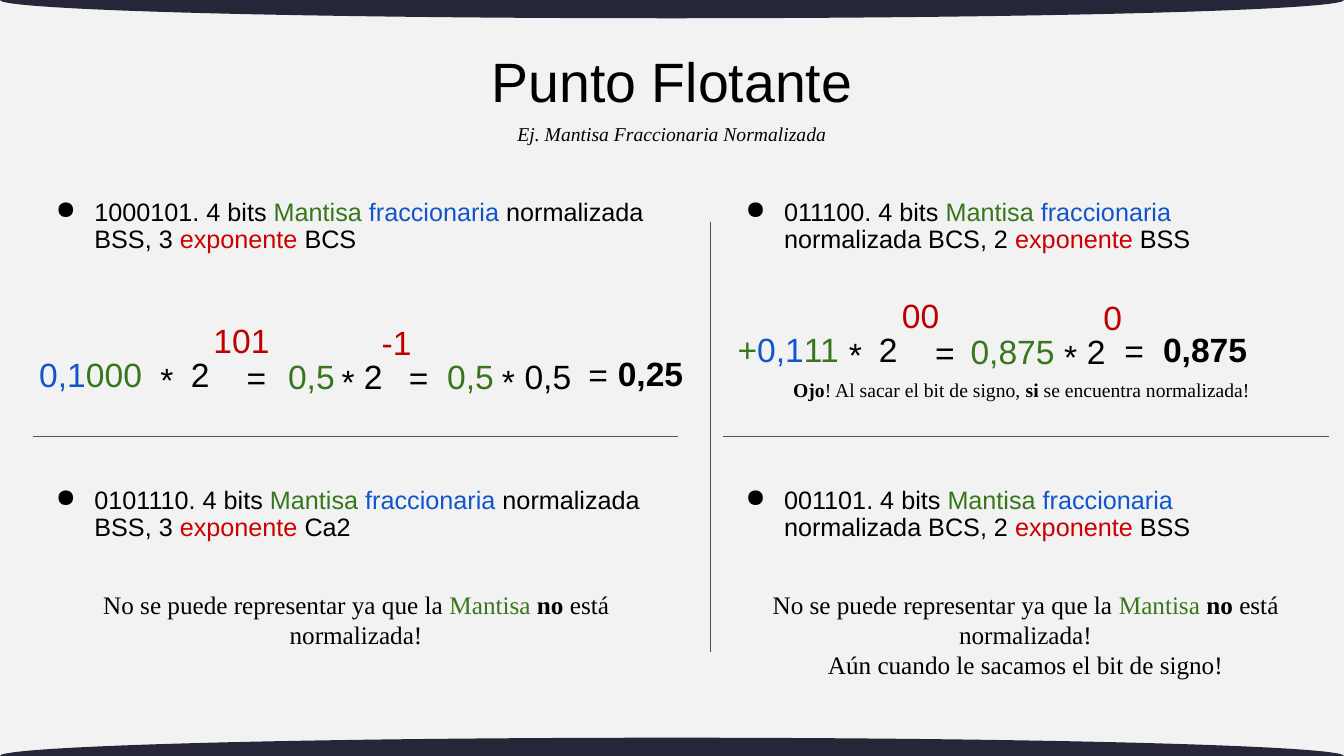
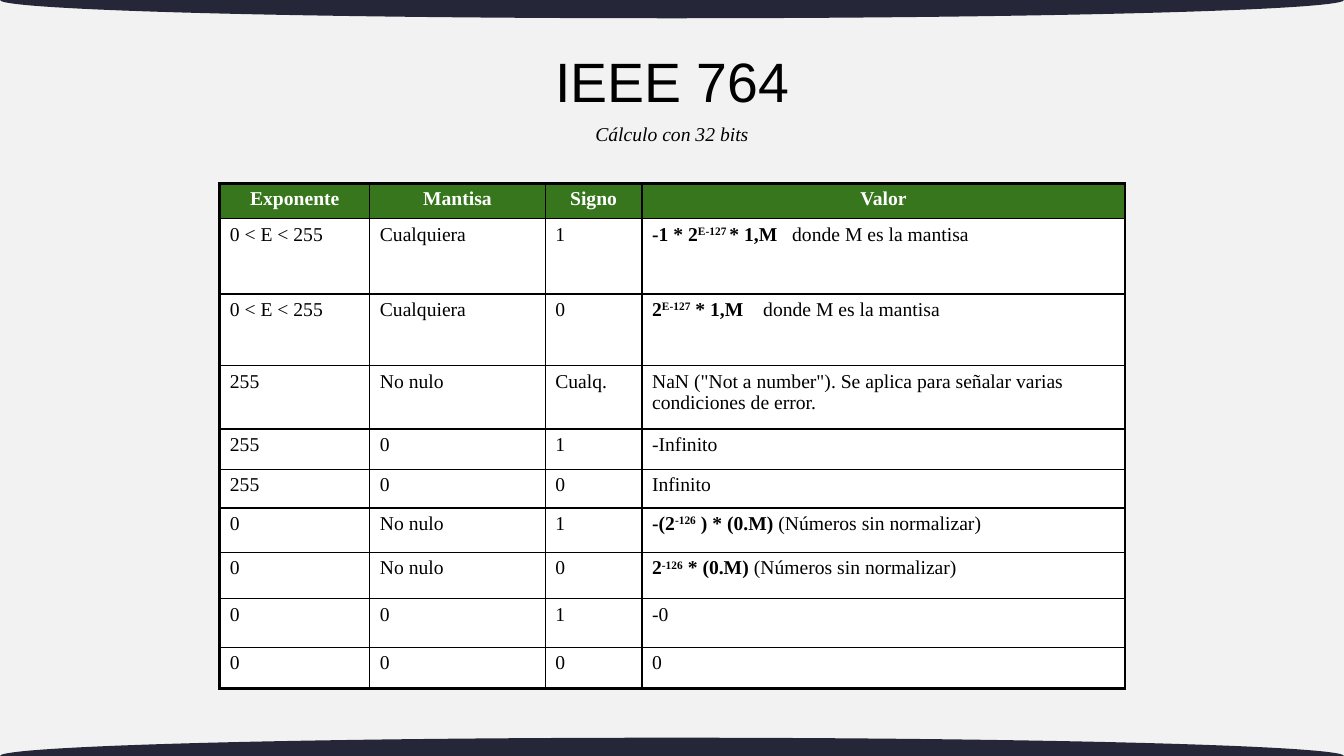
from lxml.etree import SubElement
from pptx import Presentation
from pptx.dml.color import RGBColor
from pptx.enum.shapes import MSO_CONNECTOR, MSO_SHAPE
from pptx.enum.text import MSO_ANCHOR, MSO_AUTO_SIZE, PP_ALIGN as ALIGN
from pptx.oxml.ns import qn
from pptx.util import Cm, Pt

BLACK = RGBColor(0x00, 0x00, 0x00)
WHITE = RGBColor(0xFF, 0xFF, 0xFF)
PAPER = RGBColor(0xF2, 0xF2, 0xF2)
NIGHT = RGBColor(0x25, 0x27, 0x38)
SLATE = RGBColor(0x44, 0x54, 0x6A)
GREEN = RGBColor(0x38, 0x76, 0x1D)
BLUE = RGBColor(0x11, 0x55, 0xCC)
RED = RGBColor(0xCC, 0x00, 0x00)
CRIMSON = RGBColor(0xC0, 0x00, 0x00)
SANS, SERIF = "Arial", "Times New Roman"
WIDTH, HEIGHT = 33.87, 19.05


def write_spans(para, spans, size, font):
    """Each span is (text, colour, flags): b bold, i italic, ^ superscript."""
    for text, colour, flags in spans:
        span = para.add_run()
        span.text = text
        span.font.name = font
        span.font.size = Pt(size)
        span.font.color.rgb = colour
        span.font.bold = "b" in flags
        span.font.italic = "i" in flags
        if "^" in flags:
            span.font._element.set("baseline", "30000")


def add_text(page, place, paragraphs, size, font=SERIF, align=ALIGN.CENTER,
             spacing=None, margin=0.25):
    box = page.shapes.add_textbox(*[Cm(length) for length in place])
    frame = box.text_frame
    frame.word_wrap = True
    frame.margin_top = frame.margin_bottom = Cm(margin)
    for index, spans in enumerate(paragraphs):
        para = frame.add_paragraph() if index else frame.paragraphs[0]
        para.alignment = align
        if spacing:
            para.line_spacing = spacing
        write_spans(para, spans, size, font)
    return frame


deck = Presentation()
deck.slide_width, deck.slide_height = Cm(WIDTH), Cm(HEIGHT)
master = deck.slide_master
layout = deck.slide_layouts[5]

# Shared background and title position
master.background.fill.solid()
master.background.fill.fore_color.rgb = PAPER
heading = layout.placeholders[0]
heading.left, heading.top = Cm(8.71), Cm(0.94)
heading.width, heading.height = Cm(16.46), Cm(2.39)
heading.text_frame.vertical_anchor = MSO_ANCHOR.MIDDLE

# Titles and subtitles
pages = []
for title, subtitle in [
    ("Punto Flotante", "Ej. Mantisa Fraccionaria Normalizada"),
    ("IEEE 764", "Cálculo con 32 bits"),
]:
    page = deck.slides.add_slide(layout)
    frame = page.shapes.title.text_frame
    frame.auto_size = MSO_AUTO_SIZE.NONE
    frame.paragraphs[0].alignment = ALIGN.CENTER
    frame.paragraphs[0].line_spacing = 0.9
    write_spans(frame.paragraphs[0], [(title, BLACK, "")], 39.6, SANS)
    add_text(page, ((WIDTH - 13.6) / 2, 2.95, 13.6, 0.86),
             [[(subtitle, BLACK, "i")]], 14, margin=0.13)
    pages.append(page)
examples, formats = pages

# Curved bands, centred on both slide edges and kept on the master
for edge in (0, HEIGHT):
    band = examples.shapes.add_shape(
        MSO_SHAPE.OVAL, 0, Cm(edge - 0.46), Cm(WIDTH), Cm(0.92))
    band.shadow.inherit = False
    band.fill.solid()
    band.fill.fore_color.rgb = NIGHT
    band.line.fill.background()
    master.placeholders[0].element.addprevious(band.element)

# Dividing lines
for x1, y1, x2, y2 in [
    (17.91, 5.59, 17.91, 16.43),
    (0.84, 11, 17.09, 11),
    (18.21, 11, 33.5, 11),
]:
    rule = examples.shapes.add_connector(
        MSO_CONNECTOR.STRAIGHT, Cm(x1), Cm(y1), Cm(x2), Cm(y2))
    rule.line.color.rgb = SLATE
    rule.line.width = Pt(0.75)
    SubElement(rule.element.spPr, qn("a:effectLst"))

# The four exercises
LEFT_COLUMN, RIGHT_COLUMN = (0.86, 16.26), (18.24, 14.99)
UPPER, LOWER = 4.95, 12.22
for (left, width), top, number, kind, bits, exponent in [
    (LEFT_COLUMN, UPPER, "1000101", "BSS", 3, "BCS"),
    (LEFT_COLUMN, LOWER, "0101110", "BSS", 3, "Ca2"),
    (RIGHT_COLUMN, UPPER, "011100", "BCS", 2, "BSS"),
    (RIGHT_COLUMN, LOWER, "001101", "BCS", 2, "BSS"),
]:
    spans = [
        (f"{number}. 4 bits ", BLACK, ""),
        ("Mantisa ", GREEN, ""),
        ("fraccionaria ", BLUE, ""),
        (f"normalizada {kind}, {bits} ", BLACK, ""),
        ("exponente", RED, ""),
        (f" {exponent}", BLACK, ""),
    ]
    frame = add_text(examples, (left, top, width, 1.52), [spans], 18, SANS,
                     ALIGN.LEFT, 0.9, 0.13)
    frame.vertical_anchor = MSO_ANCHOR.MIDDLE
    props = frame.paragraphs[0]._p.get_or_add_pPr()
    props.set("marL", str(Cm(1.27)))
    props.set("indent", str(Cm(-0.97)))
    bullet_colour = SubElement(props, qn("a:buClr"))
    SubElement(bullet_colour, qn("a:srgbClr"), val=str(BLACK))
    SubElement(props, qn("a:buChar"), char="●")

# Worked equations: kind of term -> vertical offset, width, alignment
TERMS = {
    "number": (0, 3.4, ALIGN.LEFT),
    "base": (0, 1.09, ALIGN.CENTER),
    "times": (0.13, 1.09, ALIGN.CENTER),
    "equals": (0.03, 1.09, ALIGN.CENTER),
    "power": (-0.85, 2.87, ALIGN.LEFT),
}
TIMES, EQUALS, TWO = [("*", BLACK, "")], [("=", BLACK, "")], [("2", BLACK, "")]
EQUATION_PARTS = [
    (8.15, [
        (0.74, "number", [("0,1", BLUE, ""), ("000", GREEN, "")]),
        (3.66, "times", TIMES),
        (4.5, "base", TWO),
        (5.13, "power", [("101", CRIMSON, "")]),
    ]),
    (8.2, [
        (5.92, "equals", EQUALS),
        (7.01, "number", [("0,5", GREEN, "")]),
        (8.23, "times", TIMES),
        (8.86, "base", TWO),
        (9.37, "power", [("-1", CRIMSON, "")]),
        (10.01, "equals", EQUALS),
        (11.02, "number", [("0,5", GREEN, "")]),
        (12.27, "times", TIMES),
        (12.97, "number", [("0,5", BLACK, "")]),
    ]),
    (8.13, [
        (14.53, "equals", EQUALS),
        (15.32, "number", [("0,25", BLACK, "b")]),
    ]),
    (7.52, [
        (18.34, "number", [("+", GREEN, ""), ("0,1", BLUE, ""), ("11", GREEN, "")]),
        (21.01, "times", TIMES),
        (21.84, "base", TWO),
        (22.48, "power", [("00", CRIMSON, "")]),
    ]),
    (7.57, [
        (23.27, "equals", EQUALS),
        (24.21, "number", [("0,875", GREEN, "")]),
        (26.44, "times", TIMES),
        (27.08, "base", TWO),
        (27.56, "power", [("0", CRIMSON, "")]),
    ]),
    (7.52, [
        (28.04, "equals", EQUALS),
        (29.06, "number", [("0,875", BLACK, "b")]),
    ]),
]
for top, terms in EQUATION_PARTS:
    for left, kind, spans in terms:
        offset, width, align = TERMS[kind]
        add_text(examples, (left, top + offset, width, 1.7), [spans], 24,
                 SANS, align, 1.5)

# Remarks below the exercises
NOT_NORMAL = [
    ("No se puede representar ya que la ", BLACK, ""),
    ("Mantisa ", GREEN, ""),
    ("no", BLACK, "b"),
    (" está normalizada!", BLACK, ""),
]
WARNING = [
    ("Ojo", BLACK, "b"),
    ("! Al sacar el bit de signo, ", BLACK, ""),
    ("si", BLACK, "b"),
    (" se encuentra normalizada!", BLACK, ""),
]
SIGN_BIT = [("Aún cuando le sacamos el bit de signo!", BLACK, "")]
add_text(examples, (2.13, 14.6, 13.69, 1.96), [NOT_NORMAL], 18)
add_text(examples, (18.9, 9.27, 13.69, 1.52), [WARNING], 14)
add_text(examples, (19, 14.6, 13.69, 3.3), [NOT_NORMAL, SIGN_BIT], 18)

# Table of 32-bit formats: a value is a plain text or a list of (text, flags)
COLUMN_WIDTHS = [3.78, 4.42, 2.44, 12.17]
ROW_HEIGHTS = [0.89, 1.9, 1.8, 1.6, 1.02, 0.97, 1.12, 1.17, 1.22, 1.04]
VALUE_TABS = {1: 3.53, 2: 2.8}
ROWS = [
    ("Exponente", "Mantisa", "Signo", "Valor"),
    ("0 < E < 255", "Cualquiera", "1",
     [("-1 * 2", "b"), ("E-127 ", "b^"), ("* 1,M", "b"),
      ("\tdonde M es la mantisa", "")]),
    ("0 < E < 255", "Cualquiera", "0",
     [("2", "b"), ("E-127", "b^"), (" * 1,M", "b"),
      ("\tdonde M es la mantisa", "")]),
    ("255", "No nulo", "Cualq.",
     'NaN ("Not a number"). Se aplica para señalar varias condiciones de error.'),
    ("255", "0", "1", "-Infinito"),
    ("255", "0", "0", "Infinito"),
    ("0", "No nulo", "1",
     [("-(2", "b"), ("-126", "b^"), (" ) * (0.M)", "b"),
      (" (Números sin normalizar)", "")]),
    ("0", "No nulo", "0",
     [("2", "b"), ("-126", "b^"), (" * (0.M)", "b"),
      (" (Números sin normalizar)", "")]),
    ("0", "0", "1", "-0"),
    ("0", "0", "0", "0"),
]
table = formats.shapes.add_table(
    len(ROWS), len(COLUMN_WIDTHS), Cm(5.54), Cm(4.62),
    Cm(sum(COLUMN_WIDTHS)), Cm(sum(ROW_HEIGHTS))).table
table.horz_banding = False
for column, width in zip(table.columns, COLUMN_WIDTHS):
    column.width = Cm(width)
for row, height in zip(table.rows, ROW_HEIGHTS):
    row.height = Cm(height)

last_row, last_column = len(ROWS) - 1, len(COLUMN_WIDTHS) - 1
for r, values in enumerate(ROWS):
    for c, value in enumerate(values):
        cell = table.cell(r, c)
        header = r == 0

        # Thick frame outside, thin grid inside
        props = cell._tc.get_or_add_tcPr()
        for side, outer in [("lnL", c == 0), ("lnR", c == last_column),
                            ("lnT", header), ("lnB", r == last_row)]:
            border = SubElement(props, qn(f"a:{side}"),
                                w=str(Pt(2.25 if outer else 1)))
            paint = SubElement(border, qn("a:solidFill"))
            SubElement(paint, qn("a:srgbClr"), val=str(BLACK))
        cell.fill.solid()
        cell.fill.fore_color.rgb = GREEN if header else WHITE

        para = cell.text_frame.paragraphs[0]
        para.alignment = ALIGN.CENTER if header else ALIGN.LEFT
        if c == last_column and r in VALUE_TABS:
            stops = SubElement(para._p.get_or_add_pPr(), qn("a:tabLst"))
            SubElement(stops, qn("a:tab"), pos=str(Cm(VALUE_TABS[r])), algn="l")
        parts = [(value, "b" if header else "")] if isinstance(value, str) else value
        colour = WHITE if header else BLACK
        write_spans(para, [(text, colour, flags) for text, flags in parts], 14, SERIF)

deck.save("out.pptx")
